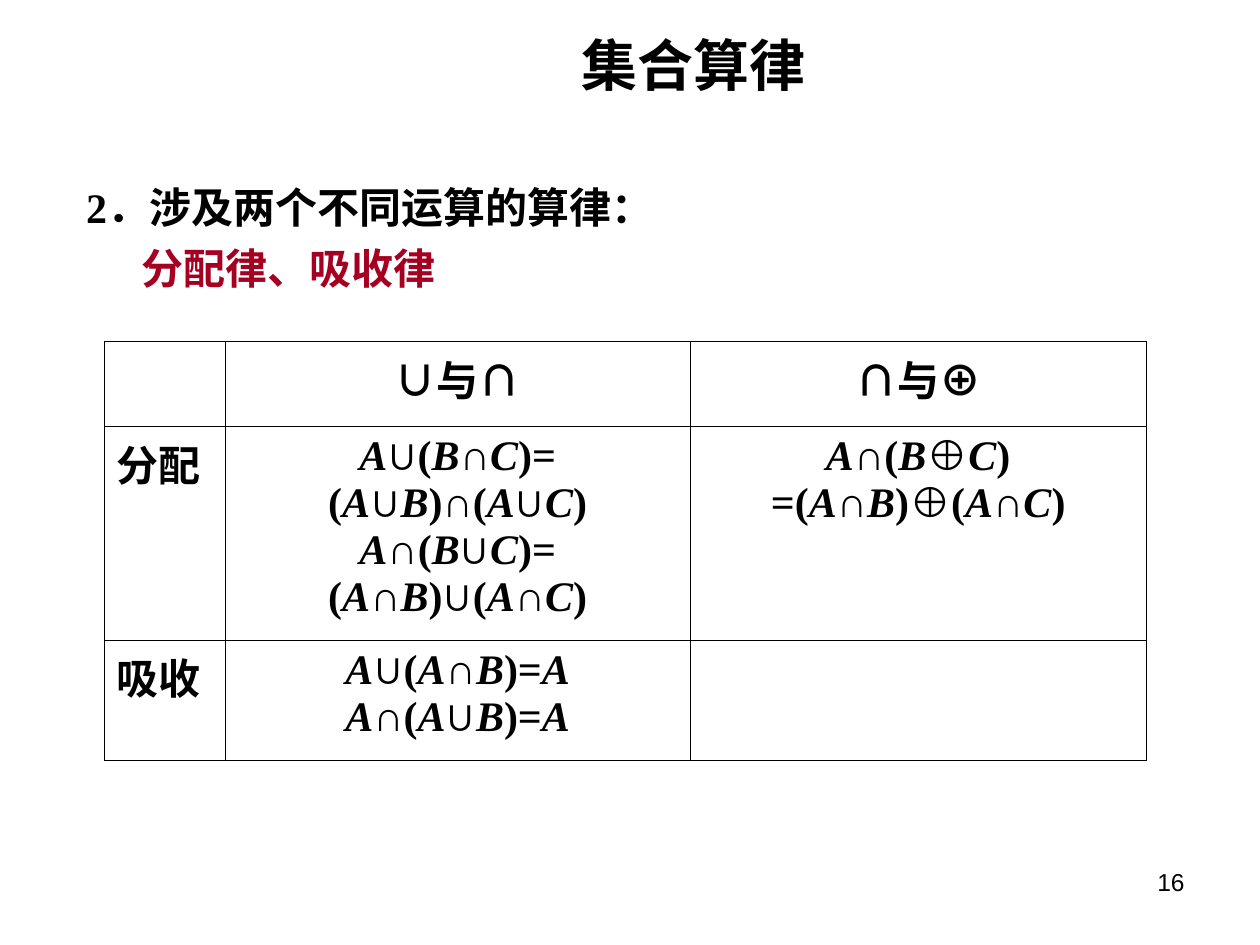
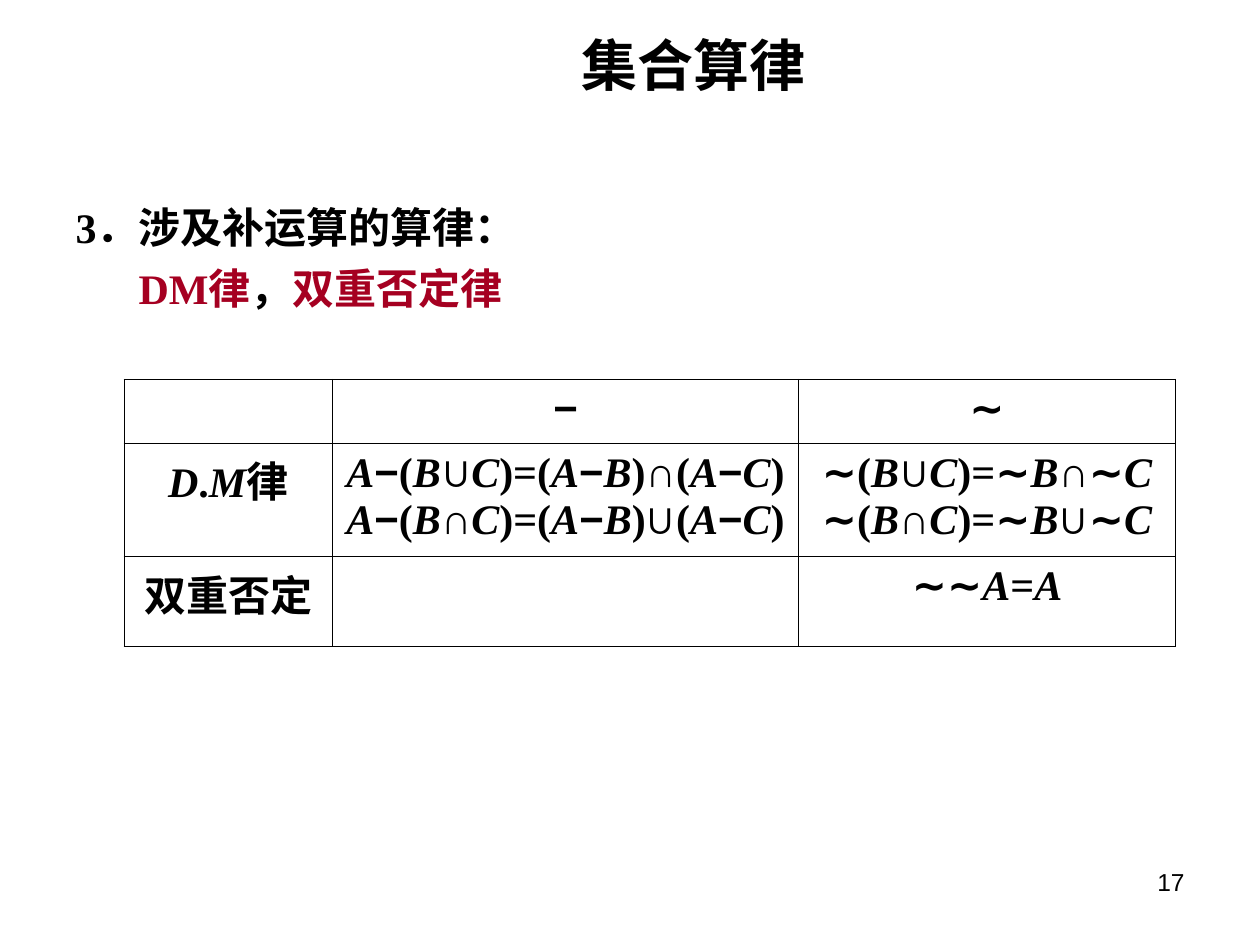
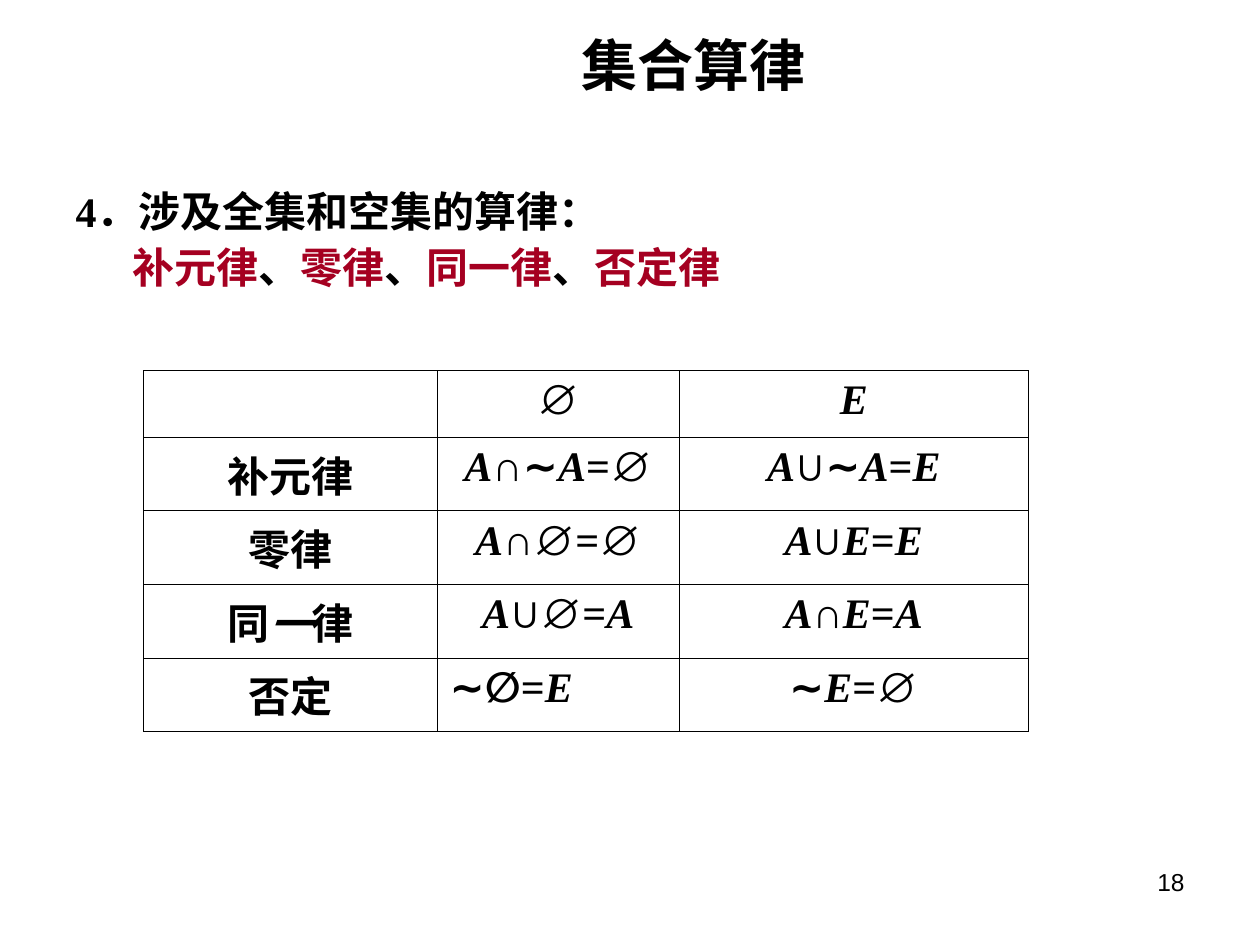
from itertools import groupby
from lxml import etree
from pptx import Presentation
from pptx.dml.color import RGBColor
from pptx.enum import text as t
from pptx.oxml import ns
from pptx.util import Pt

BLACK, RED = "000000", "A50021"
SERIF, SANS, HAN = "Times New Roman", "Arial", "Noto Sans CJK SC"
LEFT, MID, RIGHT = t.PP_ALIGN.LEFT, t.PP_ALIGN.CENTER, t.PP_ALIGN.RIGHT
LEFT_CELLS = {"分配", "吸收", "∼∅=E"}


def style(run, face, size, color=BLACK, bold=True, slant=False):
    font = run.font
    font.name, font.size, font.bold, font.italic = face, Pt(size), bold, slant
    font.color.rgb = RGBColor.from_string(color)
    east = etree.SubElement(run._r.get_or_add_rPr(), ns.qn("a:ea"))
    east.set("typeface", HAN)


def kind(char):
    """Give the font of a character in a formula and whether it is italic."""
    if char in "∪∩⊕−∼∅":
        return SANS, False
    if char > "\u4e00":
        return HAN, False
    return SERIF, char.isalpha()


# head, its indent, names of laws, their indent, body top and height,
# line spacing, table left and top, column widths, row heights, cells
pages = [
    dict(head="2．涉及两个不同运算的算律：", pad=6,
         laws=["分配律、吸收律"], dent=37.5, body=(100, 73.5), gap=1,
         spot=(59.6, 195), cols=[69.1, 265.7, 260.6], rows=[48.5, 122.2, 68.6],
         cells=[["", "∪与∩", "∩与⊕"],
                ["分配",
                 "A∪(B∩C)=\n(A∪B)∩(A∪C)\nA∩(B∪C)=\n(A∩B)∪(A∩C)",
                 "A∩(B⊕C)\n=(A∩B)⊕(A∩C)"],
                ["吸收", "A∪(A∩B)=A\nA∩(A∪B)=A", ""]]),
    dict(head="3．涉及补运算的算律：", pad=0,
         laws=["DM律", "，", "双重否定律"], dent=36, body=(111.6, 79), gap=1,
         spot=(70.9, 216.7), cols=[119, 266.5, 215.3], rows=[36.4, 64.8, 51.2],
         cells=[["", "−", "∼"],
                ["D.M律",
                 "A−(B∪C)=(A−B)∩(A−C)\nA−(B∩C)=(A−B)∪(A−C)",
                 "∼(B∪C)=∼B∩∼C\n∼(B∩C)=∼B∪∼C"],
                ["双重否定", "", "∼∼A=A"]]),
    dict(head="4．涉及全集和空集的算律：", pad=0,
         laws=["补元律", "、", "零律", "、", "同一律", "、", "否定律"],
         dent=32.5, body=(105.8, 67.7), gap=0.9,
         spot=(82, 211.7), cols=[167.8, 138.4, 199.4], rows=[38.2] + [36] * 4,
         cells=[["", "∅", "E"],
                ["补元律", "A∩∼A=∅", "A∪∼A=E"],
                ["零律", "A∩∅=∅", "A∪E=E"],
                ["同一律", "A∪∅=A", "A∩E=A"],
                ["否定", "∼∅=E", "∼E=∅"]]),
]

prs = Presentation()
prs.slide_width, prs.slide_height = Pt(720), Pt(540)

for num, page in enumerate(pages, 16):
    slide = prs.slides.add_slide(prs.slide_layouts[1])
    title, body = slide.placeholders

    # Title
    title.left, title.top = Pt(155.5), Pt(20)
    title.width, title.height = Pt(481.7), Pt(33)
    frame = title.text_frame
    frame.text = "集合算律"
    frame.auto_size = t.MSO_AUTO_SIZE.NONE
    frame.vertical_anchor = t.MSO_ANCHOR.MIDDLE
    frame.paragraphs[0].alignment = MID
    style(frame.paragraphs[0].runs[0], SANS, 32)

    # Heading and names of the laws
    top, high = page["body"]
    body.left, body.top, body.width, body.height = Pt(36), Pt(top), Pt(648), Pt(high)
    frame = body.text_frame
    frame.auto_size = t.MSO_AUTO_SIZE.NONE
    lines = [(page["pad"], [page["head"]], BLACK, 0),
             (page["dent"], page["laws"], RED, 6)]
    for i, (dent, parts, color, space) in enumerate(lines):
        para = frame.add_paragraph() if i else frame.paragraphs[0]
        prop = para._p.get_or_add_pPr()
        prop.set("marL", str(Pt(dent)))
        prop.set("indent", "0")
        etree.SubElement(prop, ns.qn("a:buNone"))
        para.space_before, para.line_spacing = Pt(space), page["gap"]
        for part in parts:
            run = para.add_run()
            run.text = part
            style(run, SERIF, 24, BLACK if part in "，、" else color)

    # Table of laws
    cols, rows = page["cols"], page["rows"]
    left, top = page["spot"]
    grid = slide.shapes.add_table(len(rows), len(cols), Pt(left), Pt(top),
                                  Pt(sum(cols)), Pt(sum(rows))).table
    grid.first_row = grid.horz_banding = False
    for col, wide in zip(grid.columns, cols):
        col.width = Pt(wide)
    for r, high in enumerate(rows):
        grid.rows[r].height = Pt(high)
        for c, law in enumerate(page["cells"][r]):
            cell = grid.cell(r, c)
            cell.fill.background()
            prop = cell._tc.get_or_add_tcPr()
            for i, side in enumerate("LRTB"):
                edge = etree.Element(ns.qn("a:ln" + side), w=str(Pt(0.45)))
                fill = etree.SubElement(edge, ns.qn("a:solidFill"))
                etree.SubElement(fill, ns.qn("a:srgbClr"), val=BLACK)
                prop.insert(i, edge)
            if not law:
                continue
            for i, line in enumerate(law.split("\n")):
                frame = cell.text_frame
                para = frame.add_paragraph() if i else frame.paragraphs[0]
                para.alignment = LEFT if law in LEFT_CELLS else MID
                for (face, slant), chars in groupby(line, kind):
                    run = para.add_run()
                    run.text = "".join(chars)
                    style(run, face, 24, slant=slant)

    # Slide number
    box = slide.shapes.add_textbox(Pt(516), Pt(492), Pt(168), Pt(37.5))
    box.text_frame.word_wrap = True
    box.text_frame.text = str(num)
    para = box.text_frame.paragraphs[0]
    para.alignment = RIGHT
    style(para.runs[0], SANS, 14, bold=False)

prs.save("out.pptx")
